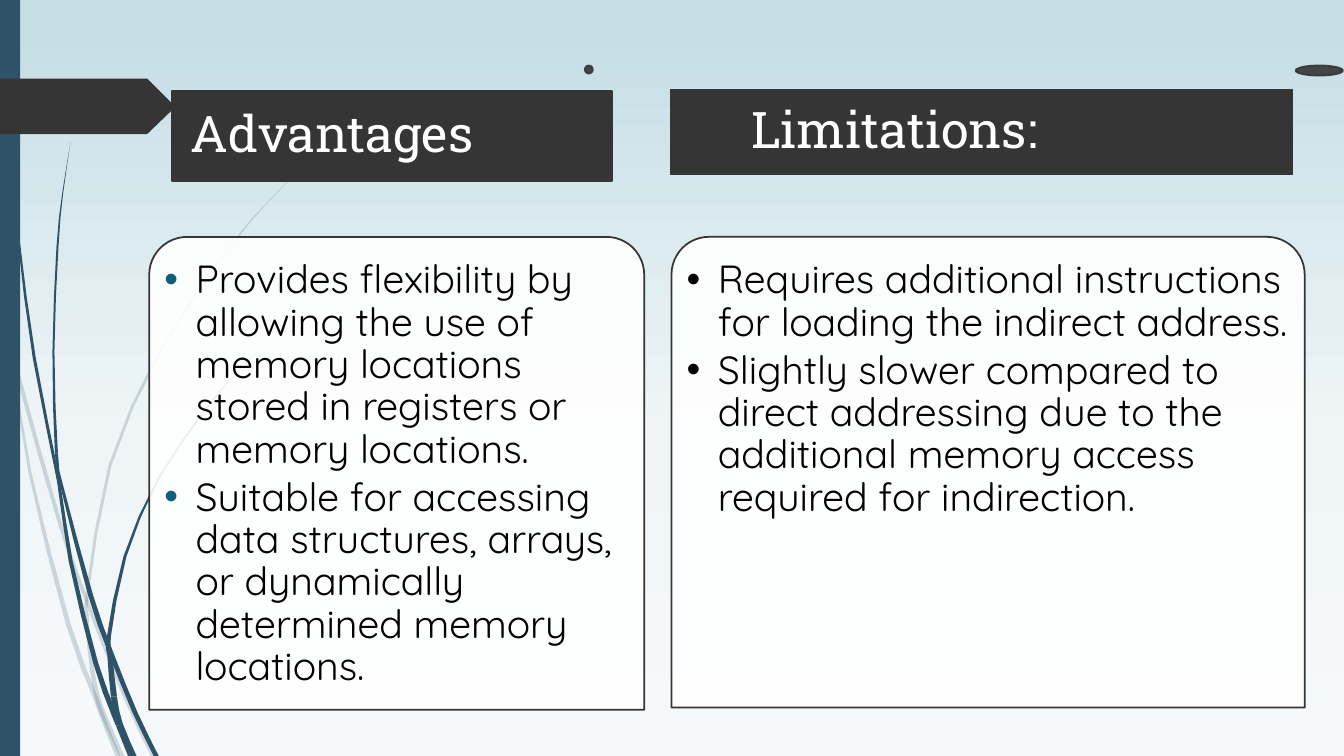
from dataclasses import dataclass

from lxml import etree
from pptx import Presentation
from pptx.dml.color import RGBColor
from pptx.enum.shapes import MSO_SHAPE
from pptx.enum.text import MSO_ANCHOR, MSO_AUTO_SIZE, PP_ALIGN
from pptx.oxml.ns import qn
from pptx.util import Inches, Pt

RECT = MSO_SHAPE.RECTANGLE
CARD = MSO_SHAPE.ROUND_2_SAME_RECTANGLE
OVAL = MSO_SHAPE.OVAL
LEFT, CENTER = PP_ALIGN.LEFT, PP_ALIGN.CENTER
TOP, MIDDLE = MSO_ANCHOR.TOP, MSO_ANCHOR.MIDDLE
NO_FIT = MSO_AUTO_SIZE.NONE


@dataclass(frozen=True)
class Theme:
    """Colours, fonts and type sizes of the slide."""
    stem: str = "2E5369"
    dark: str = "353535"
    white: str = "FFFFFF"
    black: str = "000000"
    accent: str = "0F5E7C"
    backdrop: tuple = ((0, "F6F9FB"), (43, "EFF5F7"), (96, "C5DEE5"))
    head_font: str = "Roboto Slab"
    body_font: str = "Quicksand"
    head_size: int = 36
    body_size: int = 28
    line_width: float = 1.25


def set_alpha(element, percent):
    """Make the solid colour under an element partly transparent."""
    color = next(element.iter(qn("a:srgbClr")))
    etree.SubElement(color, qn("a:alpha"), val=str(percent * 1000))


def add_bullet(p, color, indent=0.31):
    """Give a paragraph a hanging round bullet."""
    pPr = p._p.get_or_add_pPr()
    pPr.set("marL", str(Inches(indent)))
    pPr.set("indent", str(-Inches(indent)))
    clr = etree.SubElement(pPr, qn("a:buClr"))
    etree.SubElement(clr, qn("a:srgbClr"), val=color)
    etree.SubElement(pPr, qn("a:buFont"), typeface="Arial")
    etree.SubElement(pPr, qn("a:buChar"), char="•")


def write(p, text, *, font, size, color, align=LEFT, after=0, bullet=None):
    """Write one formatted paragraph."""
    p.alignment = align
    p.line_spacing = 0.9
    p.space_before, p.space_after = Pt(0), Pt(after)
    if bullet:
        add_bullet(p, bullet)
    r = p.add_run()
    r.text = text
    r.font.name, r.font.size, r.font.bold = font, Pt(size), False
    r.font.color.rgb = RGBColor.from_string(color)


def smooth(points):
    """Add a Catmull-Rom midpoint between each two neighbours."""
    padded = [points[0], *points, points[-1]]
    curve = []
    for a, b, c, d in zip(padded, padded[1:], padded[2:], padded[3:]):
        middle = tuple((9 * (q + r) - p - s) / 16
                       for p, q, r, s in zip(a, b, c, d))
        curve += [b, middle]
    return curve + [points[-1]]


class Deck:
    """Holds the theme and the current slide."""

    def __init__(self, slide, theme):
        self.slide, self.theme = slide, theme

    def background(self):
        """Fill the slide with the vertical gradient."""
        fill = self.slide.background.fill
        fill.gradient()
        fill.gradient_angle = 90
        stops = next(self.slide.element.iter(qn("a:gsLst")))
        for gs in list(stops):
            stops.remove(gs)
        for pos, color in self.theme.backdrop:
            gs = etree.SubElement(stops, qn("a:gs"), pos=str(pos * 1000))
            etree.SubElement(gs, qn("a:srgbClr"), val=color)

    def paint(self, sp, fill, alpha=100, line=None, line_alpha=100):
        """Set fill, outline and transparency, without shadow."""
        sp.shadow.inherit = False
        sp.fill.solid()
        sp.fill.fore_color.rgb = RGBColor.from_string(fill)
        if alpha < 100:
            set_alpha(sp._element.spPr.find(qn("a:solidFill")), alpha)
        if line is None:
            sp.line.fill.background()
            return
        sp.line.color.rgb = RGBColor.from_string(line)
        sp.line.width = Pt(self.theme.line_width)
        if line_alpha < 100:
            set_alpha(sp._element.spPr.find(qn("a:ln")), line_alpha)

    def shape(self, kind, box, fill, **style):
        """Add a painted preset shape."""
        sp = self.slide.shapes.add_shape(kind, *map(Inches, box))
        self.paint(sp, fill, **style)
        return sp

    def outline(self, points, fill, **style):
        """Add a closed, painted freeform."""
        scaled = [(Inches(x), Inches(y)) for x, y in points]
        builder = self.slide.shapes.build_freeform(*scaled[0])
        builder.add_line_segments(scaled[1:], close=True)
        self.paint(builder.convert_to_shape(), fill, **style)

    def stem(self, joints, spine, alpha=100):
        """Add a tapering stem of (x, y, width) points, cut at the joints."""
        curve = smooth(spine)
        cuts = [spine[0][1], *joints, spine[-1][1]]
        for low, high in zip(cuts, cuts[1:]):
            piece = [pt for pt in curve if low <= pt[1] <= high]
            left = [(x - w / 2, y) for x, y, w in piece]
            right = [(x + w / 2, y) for x, y, w in reversed(piece)]
            self.outline(left + right, self.theme.stem, alpha=alpha)

    def text(self, idx, box, lines, insets, anchor=TOP, **style):
        """Move a placeholder to the front and write its paragraphs."""
        sp = next(ph for ph in self.slide.placeholders
                  if ph.placeholder_format.idx == idx)
        self.slide.shapes._spTree.append(sp._element)
        sp.left, sp.top, sp.width, sp.height = map(Inches, box)
        tf = sp.text_frame
        tf.word_wrap, tf.auto_size, tf.vertical_anchor = True, NO_FIT, anchor
        (tf.margin_left, tf.margin_top,
         tf.margin_right, tf.margin_bottom) = map(Inches, insets)
        for i, line in enumerate(lines):
            write(tf.add_paragraph() if i else tf.paragraphs[0], line, **style)

    def column(self, idx, heading, items, head, head_text, card, dot, bullet):
        """Add a heading bar, its card with a list, and the dot above."""
        t = self.theme
        x, y, w, h = card
        sp = self.shape(CARD, card, t.white, alpha=90, line=t.dark)
        sp.adjustments[0], sp.adjustments[1] = 0.08, 0
        self.text(idx + 1, (x + 0.11, y + 0.11, w - 0.22, h - 0.11), items,
                  (0.04, 0.12, 0.04, 0.04), font=t.body_font,
                  size=t.body_size, color=t.black, after=4, bullet=bullet)
        self.shape(RECT, head, t.dark, line=t.dark)
        self.text(idx, (head[0], head[1], head_text, head[3]), [heading],
                  (0.15, 0, 0.05, 0), anchor=MIDDLE, font=t.head_font,
                  size=t.head_size, color=t.white, align=CENTER)
        self.shape(OVAL, dot, t.dark, alpha=90, line=t.dark, line_alpha=90)


PALE_STEMS = [
    ((3.5, 7.12), [
        (0.01, 2.9, 0.02), (0.11, 3.5, 0.02), (0.3, 4.7, 0.03),
        (0.68, 6.2, 0.05), (0.94, 6.9, 0.05), (1.02, 7.12, 0.05),
        (1.17, 7.5, 0.05)]),
    ((5.96,), [
        (0.14, 3.45, 0.01), (0.19, 3.76, 0.04), (0.6, 5.21, 0.04),
        (0.86, 5.96, 0.04), (1.25, 6.93, 0.05), (1.52, 7.5, 0.05)]),
    ((5.86, 6.1, 6.85), [
        (3.12, 1.53, 0), (2.68, 1.98, 0.01), (2.28, 2.45, 0.02),
        (1.59, 3.48, 0.03), (1.09, 4.62, 0.03), (0.87, 5.86, 0.03),
        (0.86, 6.1, 0.04), (0.89, 6.46, 0.04), (0.95, 6.85, 0.05),
        (1.03, 7.1, 0.06), (1.21, 7.5, 0.05)]),
]
DARK_STEMS = [
    ((4.77, 7.2), [
        (0.03, 0, 0.01), (0.07, 1.1, 0.01), (0.18, 2.33, 0.02),
        (0.34, 3.55, 0.03), (0.58, 4.77, 0.03), (0.7, 5.56, 0.04),
        (0.95, 6.58, 0.05), (1.12, 7.05, 0.06), (1.18, 7.2, 0.06),
        (1.3, 7.5, 0.06)]),
    ((4.5, 4.85, 6.45), [
        (0.7, 1.41, 0), (0.62, 1.93, 0.01), (0.57, 2.45, 0.02),
        (0.53, 3.49, 0.02), (0.56, 4.5, 0.03), (0.62, 4.85, 0.03),
        (0.9, 5.91, 0.05), (1.09, 6.45, 0.05), (1.34, 7.07, 0.05),
        (1.55, 7.5, 0.05)]),
    ((6.32, 6.5, 6.91), [
        (2.6, 3.44, 0), (2.31, 3.74, 0.01), (2.04, 4.06, 0.02),
        (1.57, 4.75, 0.02), (1.24, 5.52, 0.03), (1.08, 6.32, 0.04),
        (1.09, 6.5, 0.05), (1.13, 6.91, 0.06), (1.19, 7.17, 0.05),
        (1.33, 7.5, 0.05)]),
]
TAG = [(0, 0.78), (1.46, 0.78), (1.74, 1.06), (1.46, 1.33), (0, 1.33)]
ADVANTAGES = [
    "Provides flexibility by allowing the use of memory locations stored in "
    "registers or memory locations.",
    "Suitable for accessing data structures, arrays, or dynamically "
    "determined memory locations."]
LIMITATIONS = [
    "Requires additional instructions for loading the indirect address.",
    "Slightly slower compared to direct addressing due to the additional "
    "memory access required for indirection."]

prs = Presentation()
prs.slide_width, prs.slide_height = Inches(13.33), Inches(7.5)
s = prs.slides.add_slide(prs.slide_layouts.get_by_name("Comparison"))
title = s.shapes.title._element
title.getparent().remove(title)
theme = Theme()
deck = Deck(s, theme)
deck.background()
for stems, alpha in ((PALE_STEMS, 20), (DARK_STEMS, 100)):
    for joints, spine in stems:
        deck.stem(joints, spine, alpha)
deck.shape(RECT, (0, 0, 0.2, 7.5), theme.stem)
deck.outline(TAG, theme.dark)
deck.column(1, "Advantages", ADVANTAGES, head=(1.71, 0.9, 4.36, 0.9),
            head_text=3.07, card=(1.48, 2.35, 4.91, 4.69),
            dot=(5.8, 0.65, 0.08, 0.08), bullet=theme.accent)
deck.column(3, "Limitations:", LIMITATIONS, head=(6.65, 0.89, 6.17, 0.84),
            head_text=4.34, card=(6.66, 2.35, 6.28, 4.67),
            dot=(12.85, 0.65, 0.47, 0.1), bullet=theme.black)
prs.save("out.pptx")
